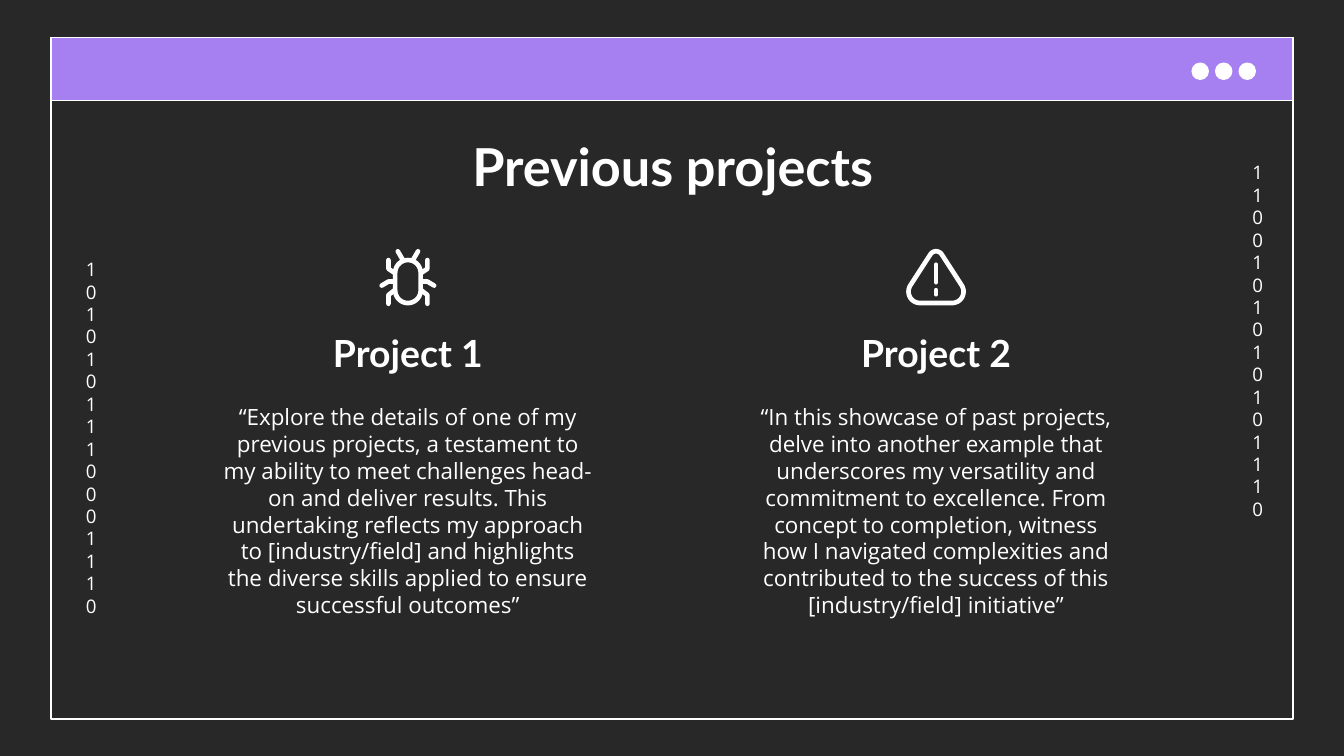
import math
from typing import NamedTuple

from lxml import etree
from pptx import Presentation
from pptx.dml.color import RGBColor
from pptx.enum import shapes, text
from pptx.oxml import ns
from pptx.util import Inches, Pt

WHITE, PURPLE, DARK = "FFFFFF", "A67FF1", "292828"
HEADING_FONT, BODY_FONT = "Lato", "Open Sans"
COLUMN_WIDTH = 2.95
ICON_CENTRE_Y = 2.07

Point = tuple[float, float]
Contour = list[Point]


class Box(NamedTuple):
    left: float
    top: float
    width: float
    height: float

    def lengths(self) -> list[int]:
        return [Inches(value) for value in self]


class Style(NamedTuple):
    font: str
    size: float
    bold: bool = False
    anchor: text.MSO_ANCHOR = text.MSO_ANCHOR.TOP


class Project(NamedTuple):
    left: float
    heading: str
    description: str
    icon: list[Contour]


TITLE = Style(HEADING_FONT, 28, True)
HEADING = Style(HEADING_FONT, 20, True, text.MSO_ANCHOR.BOTTOM)
BODY = Style(BODY_FONT, 12)
DIGITS = Style(BODY_FONT, 10)


def colour(value: str) -> RGBColor:
    return RGBColor.from_string(value)


def add_panel(slide, kind: shapes.MSO_SHAPE, box: Box, fill: str | None = None) -> None:
    shape = slide.shapes.add_shape(kind, *box.lengths())
    shape.shadow.inherit = False
    if fill:
        shape.fill.solid()
        shape.fill.fore_color.rgb = colour(fill)
    else:
        shape.fill.background()
    shape.line.color.rgb = colour(WHITE)
    shape.line.width = Pt(0.75)


def add_text(slide, box: Box, content: str, style: Style) -> None:
    text_frame = slide.shapes.add_textbox(*box.lengths()).text_frame
    text_frame.word_wrap = True
    text_frame.vertical_anchor = style.anchor
    text_frame.margin_left = text_frame.margin_right = Inches(0.1)
    text_frame.margin_top = text_frame.margin_bottom = Inches(0.1)
    text_frame.text = content
    for paragraph in text_frame.paragraphs:
        paragraph.alignment = text.PP_ALIGN.CENTER
        for run in paragraph.runs:
            run.font.name = style.font
            run.font.size = Pt(style.size)
            run.font.bold = style.bold
            run.font.color.rgb = colour(WHITE)


def arc(x: float, y: float, radius: float, start: int, end: int) -> Contour:
    """Points clockwise along a circle, angles in degrees."""
    angles = [math.radians(angle) for angle in range(start, end + 1, 10)]
    return [(x + radius * math.cos(a), y + radius * math.sin(a)) for a in angles]


def closed(contour: Contour) -> Contour:
    return contour + contour[:1]


def bug_icon() -> list[Contour]:
    """Contours in hundredths of an inch around the icon centre."""
    body = closed(arc(0, -4, 9.5, 180, 360) + arc(0, 9, 9.5, 0, 180))
    limbs = [
        [(4, -14), (7.5, -20)],
        [(10, -4), (14.5, -7), (14.5, -13.5)],
        [(10, 2.5), (14.5, 2.5), (19.5, 5.5)],
        [(10, 9), (14.5, 12.5), (14.5, 19)],
    ]
    return [body] + [[(side * x, y) for x, y in limb] for side in (-1, 1) for limb in limbs]


def warning_icon() -> list[Contour]:
    """Contours in hundredths of an inch around the icon centre."""
    triangle = closed(
        arc(0, -15, 5, -150, -30) + arc(12, 10, 8.5, -30, 90) + arc(-12, 10, 8.5, 90, 210)
    )
    return [triangle, [(0, -10), (0, 3)], [(0, 9), (0, 12)]]


def add_icon(slide, centre_x: float, contours: list[Contour]) -> None:
    def place(point: Point) -> tuple[int, int]:
        return Inches(centre_x + point[0] / 100), Inches(ICON_CENTRE_Y + point[1] / 100)

    builder = slide.shapes.build_freeform(*place(contours[0][0]))
    for index, contour in enumerate(contours):
        if index:
            builder.move_to(*place(contour[0]))
        builder.add_line_segments([place(point) for point in contour[1:]], close=False)
    shape = builder.convert_to_shape()
    shape.shadow.inherit = False
    shape.fill.background()
    shape.line.color.rgb = colour(WHITE)
    shape.line.width = Pt(2.5)
    line = shape.line._get_or_add_ln()
    line.set("cap", "rnd")
    etree.SubElement(line, ns.qn("a:round"))


PROJECTS = [
    Project(
        1.56,
        "Project 1",
        "“Explore the details of one of my previous projects, a testament to my ability "
        "to meet challenges head-on and deliver results. This undertaking reflects my "
        "approach to [industry/field] and highlights the diverse skills applied to "
        "ensure successful outcomes”",
        bug_icon(),
    ),
    Project(
        5.49,
        "Project 2",
        "“In this showcase of past projects, delve into another example that underscores "
        "my versatility and commitment to excellence. From concept to completion, witness "
        "how I navigated complexities and contributed to the success of this "
        "[industry/field] initiative”",
        warning_icon(),
    ),
]


def main() -> None:
    presentation = Presentation()
    presentation.slide_width = Inches(10)
    presentation.slide_height = Inches(5.625)
    slide = presentation.slides.add_slide(presentation.slide_layouts[6])
    slide.background.fill.solid()
    slide.background.fill.fore_color.rgb = colour(DARK)

    add_panel(slide, shapes.MSO_SHAPE.RECTANGLE, Box(0.38, 0.28, 9.24, 5.07))
    add_panel(slide, shapes.MSO_SHAPE.RECTANGLE, Box(0.38, 0.28, 9.24, 0.47), PURPLE)
    for index in range(3):
        dot = Box(8.87 + 0.175 * index, 0.47, 0.12, 0.12)
        add_panel(slide, shapes.MSO_SHAPE.OVAL, dot, WHITE)

    add_text(slide, Box(9.22, 1.1, 0.24, 2.8), "1100101010101110", DIGITS)
    add_text(slide, Box(0.54, 1.82, 0.24, 2.8), "101010111000111\n0", DIGITS)
    add_text(slide, Box(0.79, 0.9, 8.43, 0.63), "Previous projects", TITLE)

    for project in PROJECTS:
        add_text(slide, Box(project.left, 2.37, COLUMN_WIDTH, 0.52), project.heading, HEADING)
        add_text(slide, Box(project.left, 2.9, COLUMN_WIDTH, 1.92), project.description, BODY)
        add_icon(slide, project.left + COLUMN_WIDTH / 2, project.icon)

    presentation.save("out.pptx")


if __name__ == "__main__":
    main()
